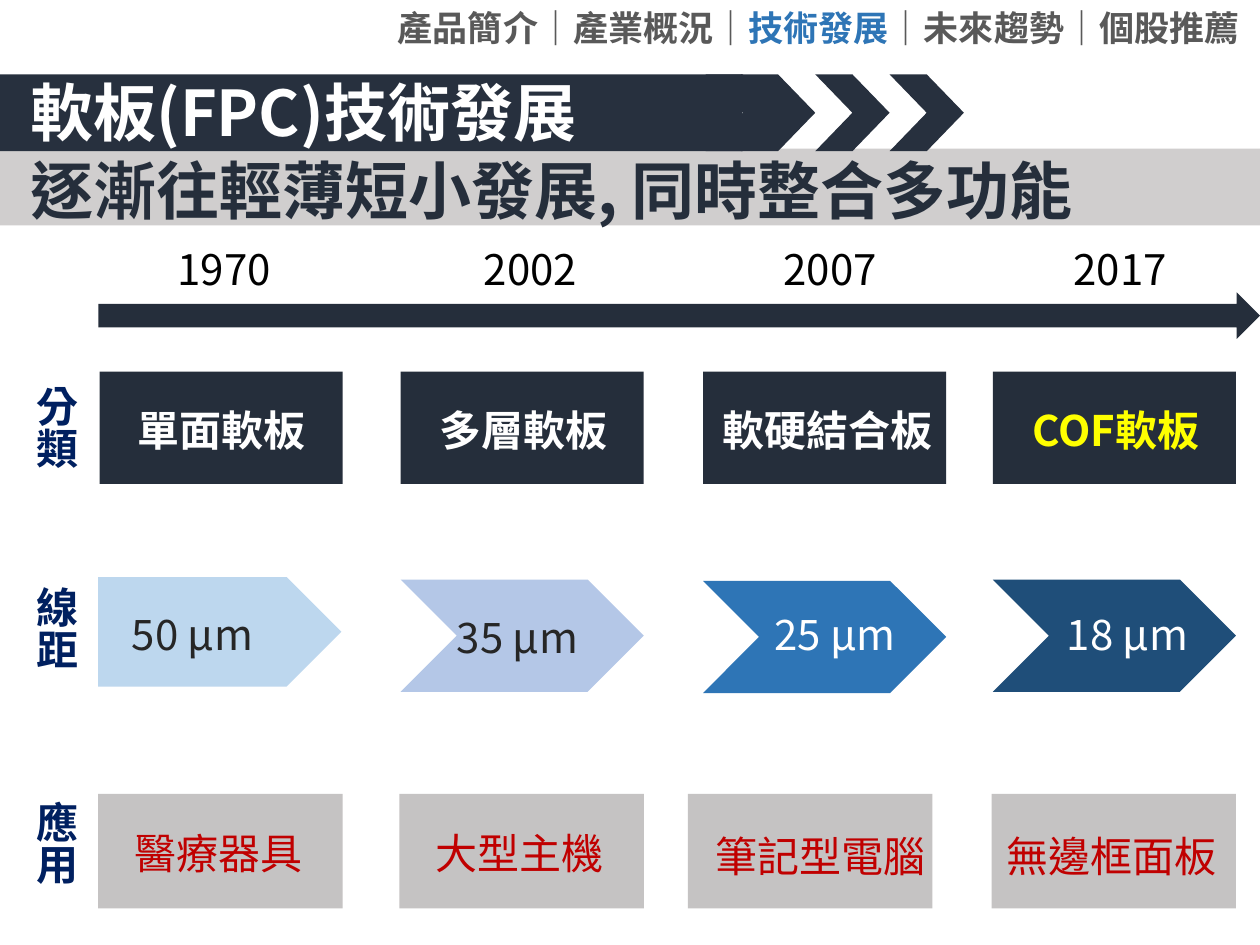
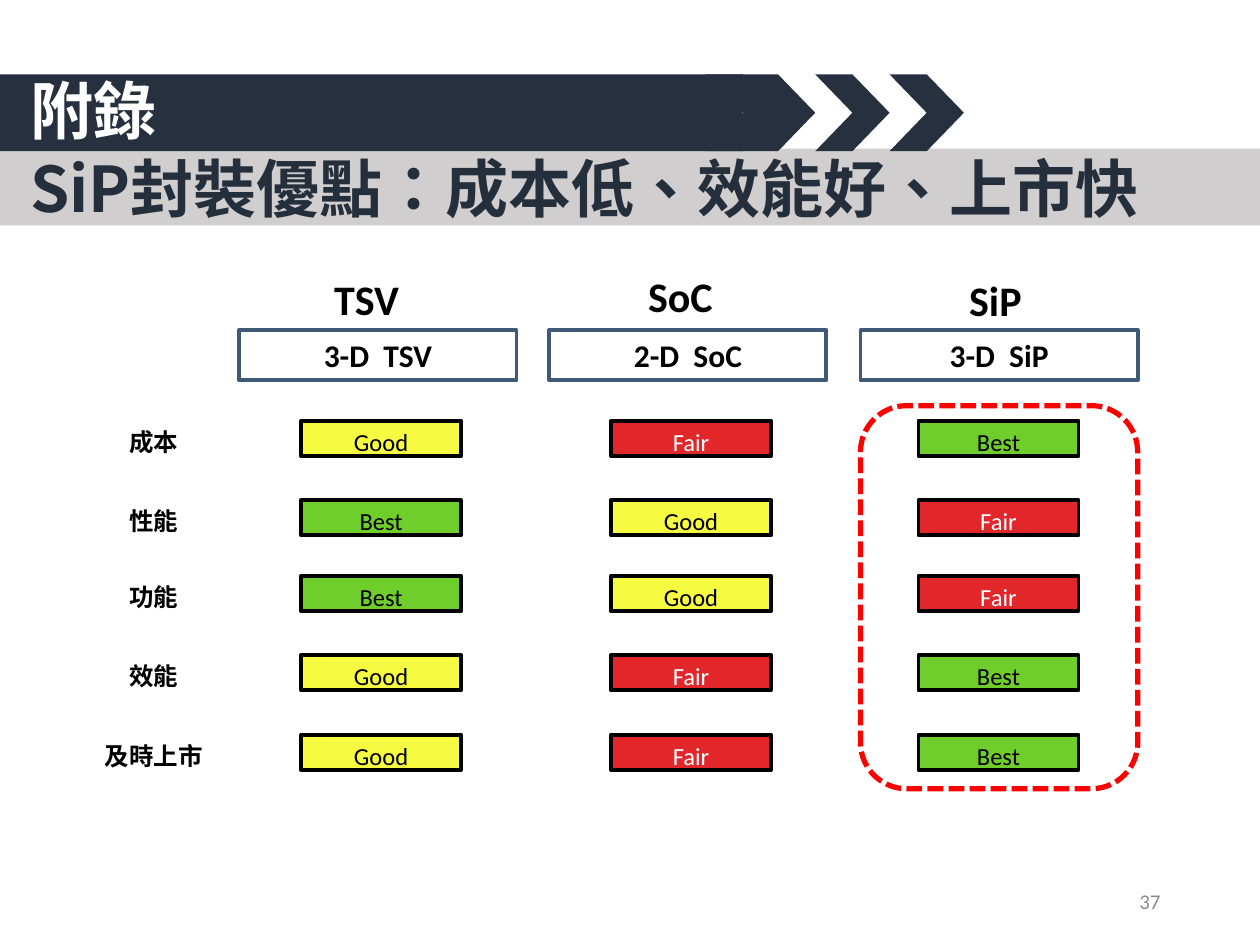
from lxml import etree
from pptx import Presentation
from pptx.dml.color import RGBColor
from pptx.enum.dml import MSO_LINE
from pptx.enum.shapes import MSO_SHAPE
from pptx.enum.text import MSO_ANCHOR, MSO_AUTO_SIZE, PP_ALIGN
from pptx.oxml.ns import qn
from pptx.util import Emu, Pt

PX = 9144  # EMU per px, 100 px to the inch
RECT, ROUND = MSO_SHAPE.RECTANGLE, MSO_SHAPE.ROUNDED_RECTANGLE
CHEVRON, PLATE = MSO_SHAPE.CHEVRON, MSO_SHAPE.PENTAGON
ARROW = MSO_SHAPE.RIGHT_ARROW
LEFT, MID, RIGHT = PP_ALIGN.LEFT, PP_ALIGN.CENTER, PP_ALIGN.RIGHT
TOP, CENTER = MSO_ANCHOR.TOP, MSO_ANCHOR.MIDDLE
DASH = MSO_LINE.SQUARE_DOT
TITLE_ONLY = 5

CJK, LATIN, NAV = "Noto Sans CJK SC", "Calibri", "Karla"
COLORS = {
    "band": "27303E", "strip": "D0CECE", "dark": "252E3B",
    "white": "FFFFFF", "black": "000000", "yellow": "FFFF00",
    "navy": "002060", "ink": "262626", "gray": "595959", "page": "8C8C8C",
    "blue": "2E75B6", "pale": "BDD7EE", "lilac": "B4C7E7", "deep": "1F4E79",
    "box": "C5C3C3", "red": "C00000", "frame": "3F5A77", "alert": "FF0000",
    "best": "70CE2C", "good": "F6FB42", "fair": "E1272A",
}


def rgb(name):
    return RGBColor.from_string(COLORS[name])


class Deck:
    def __init__(self):
        self.prs = Presentation()
        self.prs.slide_width = Emu(1000 * PX)
        self.prs.slide_height = Emu(750 * PX)
        self.slide = None

    def page(self, title, claim, top):
        """Start a slide with its bands, title and claim."""
        layout = self.prs.slide_layouts[TITLE_ONLY]
        self.slide = self.prs.slides.add_slide(layout)
        self.shape(RECT, 0, 118, 1000, 61, "strip")
        self.shape(RECT, 0, 59, 589, 61, "band")
        for x in (560, 588, 647, 706):
            self.shape(CHEVRON, x, 59, 59, 61, "band")
        head = self.slide.shapes.title
        self.slide.shapes.element.append(head.element)  # in front of the bands
        head.left, head.top, head.width, head.height = (
            Emu(v * PX) for v in (14, top, 612, 71))
        self.put(head, title, 36, "white", bold=True, align=LEFT)
        self.text(14, top + 62, 965, 71, claim, 36, "dark", bold=True, align=LEFT)

    def shape(self, kind, x, y, w, h, fill=None, line=None, width=2.25, dash=None):
        box = self.slide.shapes.add_shape(kind, *(Emu(v * PX) for v in (x, y, w, h)))
        box.shadow.inherit = False
        if fill:
            box.fill.solid()
            box.fill.fore_color.rgb = rgb(fill)
        else:
            box.fill.background()
        if line:
            box.line.color.rgb = rgb(line)
            box.line.width = Pt(width)
            if dash:
                box.line.dash_style = dash
        else:
            box.line.fill.background()
        return box

    def text(self, x, y, w, h, words, size, color, **style):
        box = self.slide.shapes.add_textbox(*(Emu(v * PX) for v in (x, y, w, h)))
        self.put(box, words, size, color, **style)
        return box

    def put(self, box, words, size, color, font=CJK, bold=False,
            align=MID, anchor=TOP, down=False):
        frame = box.text_frame
        frame.text = words
        frame.word_wrap = True
        frame.auto_size = MSO_AUTO_SIZE.NONE
        frame.vertical_anchor = anchor
        if down:
            box.element.txBody.bodyPr.set("vert", "eaVert")
        para = frame.paragraphs[0]
        para.alignment = align
        for run in para.runs:
            self.style(run, size, color, font, bold)

    def style(self, run, size, color, font, bold):
        run.font.size, run.font.bold, run.font.name = Pt(size), bold, font
        run.font.color.rgb = rgb(color)
        props = run._r.get_or_add_rPr()
        props.set("lang", "zh-TW")
        etree.SubElement(props, qn("a:ea")).set("typeface", CJK)

    def nav(self, parts):
        """Add the section list, one colour per part."""
        box = self.text(306, 0, 694, 44, "", 20, "gray", align=LEFT)
        for words, color in parts:
            run = box.text_frame.paragraphs[0].add_run()
            run.text = words
            self.style(run, 20, color, NAV, True)


def trend(deck):
    deck.page("軟板(FPC)技術發展", "逐漸往輕薄短小發展, 同時整合多功能", 53)
    deck.shape(ARROW, 78, 232, 922, 37, "dark")

    # Years: left, text
    for x, year in ((96, "1970"), (339, "2002"), (577, "2007"), (807, "2017")):
        deck.text(x, 188, 164, 56, year, 24, "black")

    # Board types: box left, text left, text width, text, colour
    for x, tx, w, kind, color in (
            (79, 75, 201, "單面軟板", "white"),
            (318, 333, 165, "多層軟板", "white"),
            (558, 553, 207, "軟硬結合板", "white"),
            (788, 777, 217, "COF軟板", "yellow")):
        deck.shape(RECT, x, 295, 193, 89, "dark")
        deck.text(tx, 316, w, 48, kind, 24, color, bold=True)

    # Line pitch: outline, left, top, height, fill, text left, text top, text, colour
    for kind, x, y, h, fill, tx, ty, pitch, color in (
            (PLATE, 78, 458, 87, "pale", 74, 478, "50 μm ", "ink"),
            (CHEVRON, 318, 460, 89, "lilac", 332, 480, "35 μm ", "ink"),
            (CHEVRON, 558, 461, 89, "blue", 584, 478, "25 μm ", "white"),
            (CHEVRON, 788, 460, 89, "deep", 816, 478, "18 μm ", "white")):
        deck.shape(kind, x, y, 193, h, fill)
        deck.text(tx, ty, 165, 48, pitch, 24, color)

    # Uses: box left, text left, text top, text
    for x, tx, ty, use in (
            (78, 97, 652, "醫療器具"), (317, 336, 652, "大型主機"),
            (546, 558, 654, "筆記型電腦"), (787, 789, 654, "無邊框面板")):
        deck.shape(RECT, x, 630, 194, 91, "box")
        deck.text(tx, ty, 205, 50, use, 24, "red", align=LEFT)

    # Row names
    for y, name in ((296, "分類"), (456, "線距"), (626, "應用")):
        deck.text(8, y, 61, 87, name, 24, "navy", bold=True, align=LEFT, down=True)

    deck.nav((("產品簡介｜產業概況｜", "gray"), ("技術發展", "blue"),
              ("｜未來趨勢｜個股推薦", "gray")))


def compare(deck):
    deck.page("附錄", "SiP封裝優點：成本低、效能好、上市快", 52)
    tops = (334, 397, 457, 520, 583)
    rows = ("成本", "性能", "功能", "效能", "及時上市")

    # Columns: frame left, grade left, name left, name top, name, type, grades
    for x, gx, nx, ny, name, kind, grades in (
            (190, 239, 245, 212, "TSV", "3-D  TSV", "Good Best Best Good Good"),
            (436, 485, 494, 210, "SoC", "2-D  SoC", "Fair Good Good Fair Fair"),
            (683, 729, 744, 213, "SiP", "3-D  SiP", "Best Fair Fair Best Best")):
        deck.text(nx, ny, 92, 50, name, 24, "black", font=LATIN, bold=True)
        frame = deck.shape(RECT, x, 262, 220, 40, line="frame")
        deck.put(frame, kind, 18, "black", font=LATIN, bold=True)
        for y, grade in zip(tops, grades.split()):
            cell = deck.shape(RECT, gx, y, 127, 28, grade.lower(), "black")
            color = "white" if grade == "Fair" else "black"
            deck.put(cell, grade, 14, color, font=LATIN)

    # Row names
    for y, name in zip(tops, rows):
        deck.text(54, y, 136, 28, name, 14, "black", font=LATIN, bold=True)

    # Highlight and page number
    deck.shape(ROUND, 683, 322, 220, 304, line="alert", width=3, dash=DASH)
    deck.text(706, 695, 225, 40, "37", 12, "page", font=LATIN, align=RIGHT, anchor=CENTER)


def main():
    deck = Deck()
    trend(deck)
    compare(deck)
    deck.prs.save("out.pptx")


if __name__ == "__main__":
    main()
